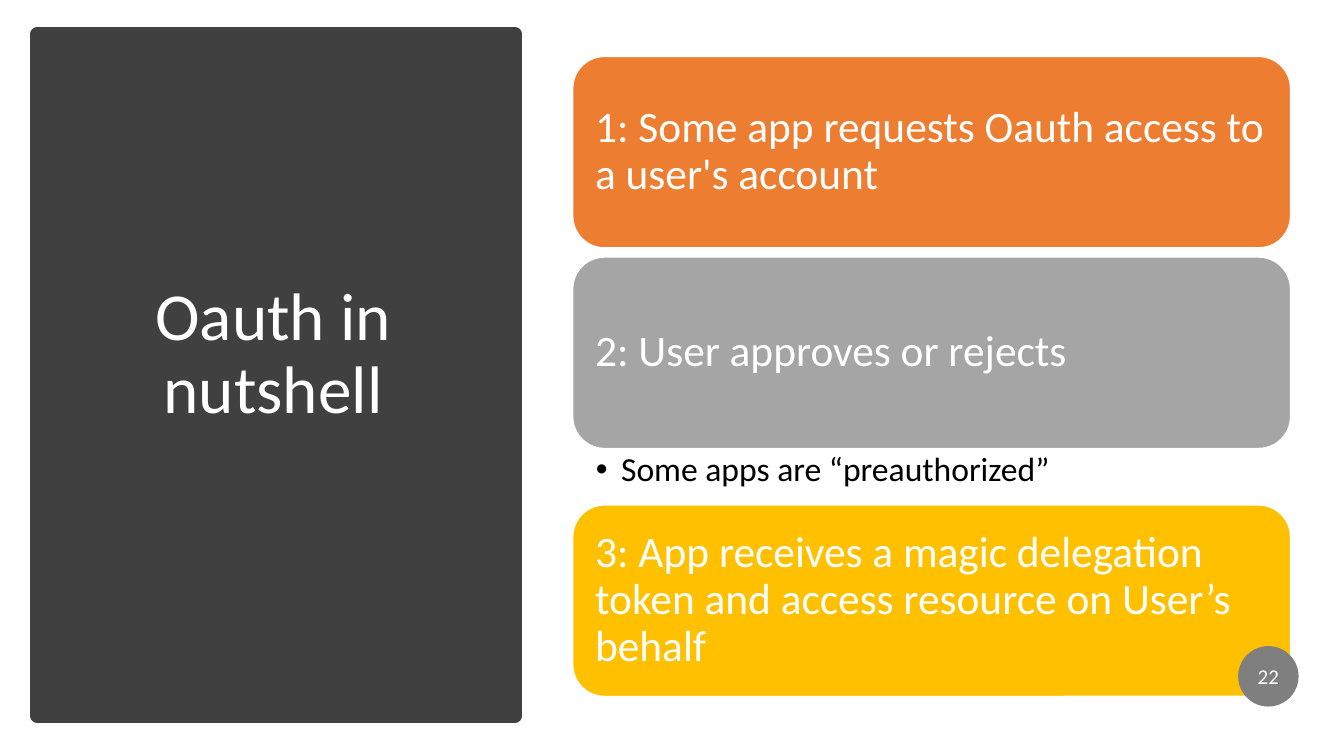
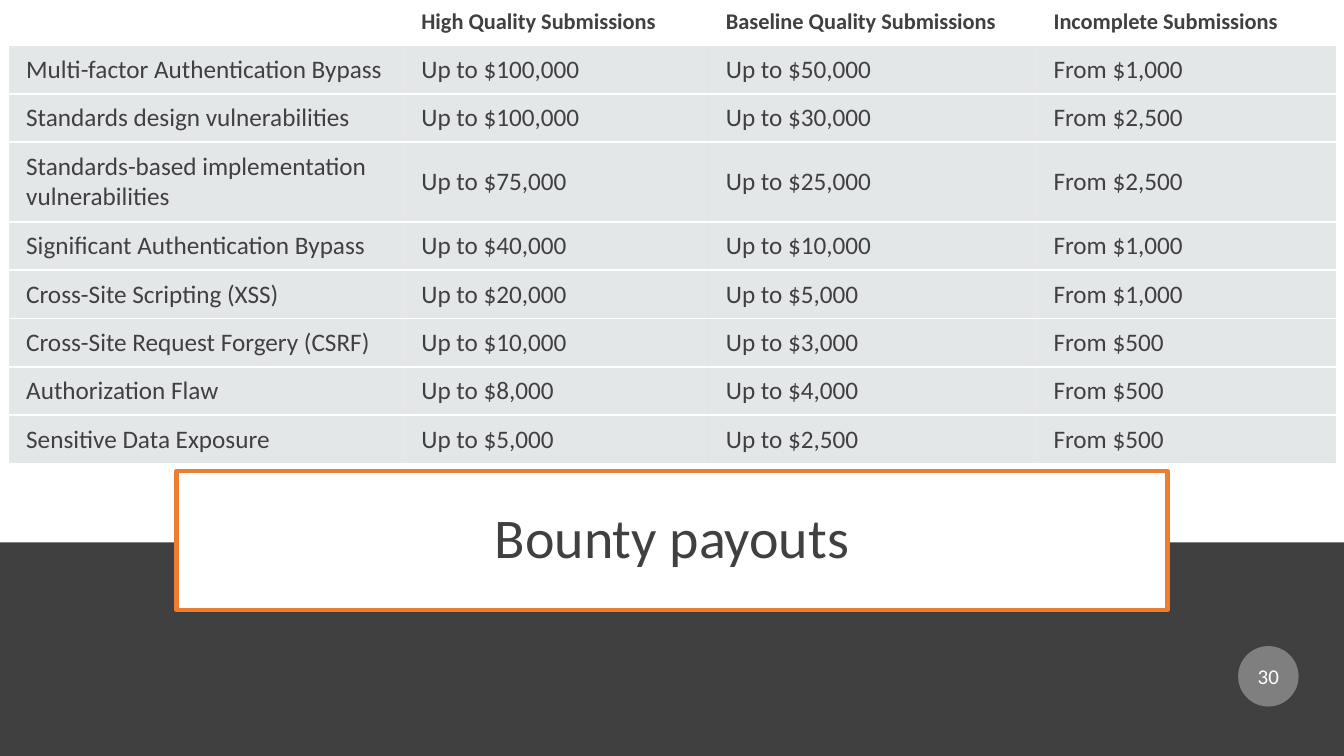
from pptx import Presentation
from pptx.dml.color import RGBColor
from pptx.enum import shapes, text
from pptx.oxml import parse_xml
from pptx.oxml.ns import nsdecls
from pptx.util import Inches, Pt

FONT = "Calibri"
WHITE = RGBColor(0xFF, 0xFF, 0xFF)
BLACK = RGBColor(0x00, 0x00, 0x00)
DARK = RGBColor(0x40, 0x40, 0x40)
BADGE = RGBColor(0x7F, 0x7F, 0x7F)
ORANGE = RGBColor(0xED, 0x7D, 0x31)
GRAY = RGBColor(0xA5, 0xA5, 0xA5)
GOLD = RGBColor(0xFF, 0xC0, 0x00)
CELL = RGBColor(0xB4, 0xBC, 0xBE)

RECT = shapes.MSO_SHAPE.RECTANGLE
ROUNDED = shapes.MSO_SHAPE.ROUNDED_RECTANGLE
OVAL = shapes.MSO_SHAPE.OVAL
LEFT, CENTER = text.PP_ALIGN.LEFT, text.PP_ALIGN.CENTER
TOP, MIDDLE, BOTTOM = (text.MSO_ANCHOR.TOP, text.MSO_ANCHOR.MIDDLE,
                       text.MSO_ANCHOR.BOTTOM)

STEPS = [
    ("1: Some app requests Oauth access to a user's account", ORANGE, None),
    ("2: User approves or rejects", GRAY, "Some apps are “preauthorized”"),
    ("3: App receives a magic delegation token and access resource on "
     "User’s behalf", GOLD, None),
]

HEADER = ["", "High Quality Submissions", "Baseline Quality Submissions",
          "Incomplete Submissions"]
PAYOUTS = [
    ("Multi-factor Authentication Bypass", "100,000", "50,000", "1,000"),
    ("Standards design vulnerabilities", "100,000", "30,000", "2,500"),
    ("Standards-based implementation vulnerabilities",
     "75,000", "25,000", "2,500"),
    ("Significant Authentication Bypass", "40,000", "10,000", "1,000"),
    ("Cross-Site Scripting (XSS)", "20,000", "5,000", "1,000"),
    ("Cross-Site Request Forgery (CSRF)", "10,000", "3,000", "500"),
    ("Authorization Flaw", "8,000", "4,000", "500"),
    ("Sensitive Data Exposure", "5,000", "2,500", "500"),
]
COLUMN_WIDTHS = [3.92, 3.02, 3.25, 2.97]
HEADER_HEIGHT, ROW_HEIGHT = 0.61, 0.48
NO_STYLE = "{2D5ABB26-0587-4C30-8999-92F81FD0307C}"


def add_box(page, kind, at, fill, line=None, line_width=1):
    box = page.shapes.add_shape(kind, *map(Inches, at))
    box.shadow.inherit = False
    box.fill.solid()
    box.fill.fore_color.rgb = fill
    if line is None:
        box.line.fill.background()
    else:
        box.line.color.rgb = line
        box.line.width = Pt(line_width)
    return box


def set_margins(holder, left, top, right, bottom):
    """Set the inner margins of a text frame or a table cell."""
    holder.margin_left, holder.margin_right = Inches(left), Inches(right)
    holder.margin_top, holder.margin_bottom = Inches(top), Inches(bottom)


def write(frame, words, size, color, align=LEFT, anchor=MIDDLE, spacing=0.9,
          bold=False):
    """Fill a text frame with one paragraph and return the paragraph."""
    frame.word_wrap = True
    frame.vertical_anchor = anchor
    para = frame.paragraphs[0]
    para.alignment = align
    para.line_spacing = spacing
    span = para.add_run()
    span.text = words
    span.font.name = FONT
    span.font.size = Pt(size)
    span.font.bold = bold
    span.font.color.rgb = color
    return para


def add_page(deck):
    page = deck.slides.add_slide(deck.slide_layouts[6])
    page.background.fill.solid()
    page.background.fill.fore_color.rgb = WHITE
    return page


def add_page_number(page, number):
    badge = add_box(page, OVAL, (12.28, 6.41, 0.6, 0.6), BADGE)
    set_margins(badge.text_frame, 0, 0, 0, 0)
    write(badge.text_frame, str(number), 15, WHITE, CENTER, spacing=1.0)


def add_title_panel(page, at, title):
    left, top, width, height = at
    add_box(page, RECT, at, DARK, DARK, 10)
    box = page.shapes.add_textbox(Inches(left + 0.44), Inches(top + 0.47),
                                  Inches(width - 0.94), Inches(height - 1.33))
    write(box.text_frame, title, 48, WHITE, CENTER)


def add_bullet(page, at, words):
    box = page.shapes.add_textbox(*map(Inches, at))
    set_margins(box.text_frame, 0.23, 0.04, 0.24, 0.04)
    para = write(box.text_frame, words, 24, BLACK, anchor=TOP)
    props = para._p.get_or_add_pPr()
    props.set("marL", str(Inches(0.25)))
    props.set("indent", str(-Inches(0.25)))
    props.append(parse_xml(f'<a:buFont {nsdecls("a")} typeface="Arial"/>'))
    props.append(parse_xml(f'<a:buChar {nsdecls("a")} char="•"/>'))


def add_steps(page, at, steps, gap=0.09, note_height=0.56):
    """Stack equal cards in the box; a note takes the place of a gap."""
    left, top, width, height = at
    between = [note_height if note else gap for _, _, note in steps[:-1]]
    card_height = (height - sum(between)) / len(steps)
    for words, color, note in steps:
        card = add_box(page, ROUNDED, (left, top, width, card_height),
                       color, WHITE)
        set_margins(card.text_frame, *[0.13] * 4)
        write(card.text_frame, words, 31, WHITE)
        top += card_height
        if note:
            add_bullet(page, (left, top, width, note_height), note)
        top += note_height if note else gap


def style_body_cell(cell):
    """Give a cell a translucent fill between white rules."""
    cell.fill.solid()
    cell.fill.fore_color.rgb = CELL
    props = cell._tc.get_or_add_tcPr()
    color = props.find(".//{*}srgbClr")
    color.append(parse_xml(f'<a:alpha {nsdecls("a")} val="35000"/>'))
    for place, side in enumerate(("lnT", "lnB")):
        props.insert(place, parse_xml(
            f'<a:{side} {nsdecls("a")} w="{Pt(1.5)}"><a:solidFill>'
            f'<a:srgbClr val="{WHITE}"/></a:solidFill></a:{side}>'))


def add_payout_table(page, left, top):
    rows = [HEADER] + [(name, f"Up to ${high}", f"Up to ${base}", f"From ${low}")
                       for name, high, base, low in PAYOUTS]
    heights = [HEADER_HEIGHT] + [ROW_HEIGHT] * len(PAYOUTS)
    heights[3] = 0.79
    frame = page.shapes.add_table(
        len(rows), len(HEADER), Inches(left), Inches(top),
        Inches(sum(COLUMN_WIDTHS)), Inches(sum(heights)))
    table = frame.table
    table.first_row = table.horz_banding = False
    table._tbl.tblPr.find("{*}tableStyleId").text = NO_STYLE
    for column, width in zip(table.columns, COLUMN_WIDTHS):
        column.width = Inches(width)
    for r, (values, height) in enumerate(zip(rows, heights)):
        table.rows[r].height = Inches(height)
        is_header = r == 0
        pad = 0.1 if is_header else 0.09
        for c, value in enumerate(values):
            cell = table.cell(r, c)
            set_margins(cell, 0.17, pad, pad, pad)
            if value:
                write(cell.text_frame, value, 16 if is_header else 18, DARK,
                      spacing=1.0, bold=is_header)
            cell.vertical_anchor = BOTTOM if is_header else MIDDLE
            if is_header:
                cell.fill.background()
            else:
                style_body_cell(cell)


def add_title_band(page, at, title):
    """Draw a dark band with a framed title straddling its upper edge."""
    left, top, width, height = at
    add_box(page, RECT, at, DARK)
    plate = add_box(page, RECT, (left + 1.75, top - 0.71, width - 3.5, 1.38),
                    WHITE, ORANGE, 3)
    write(plate.text_frame, title, 40, DARK, CENTER)


def build_oauth_page(deck):
    page = add_page(deck)
    add_title_panel(page, (0.37, 0.34, 4.74, 6.76), "Oauth in nutshell")
    add_steps(page, (5.68, 0.56, 7.12, 6.35), STEPS)
    add_page_number(page, 22)


def build_bounty_page(deck):
    page = add_page(deck)
    add_title_band(page, (0, 5.38, 13.33, 2.12), "Bounty payouts")
    add_payout_table(page, 0.09, -0.16)
    add_page_number(page, 30)


def main():
    deck = Presentation()
    deck.slide_width, deck.slide_height = Inches(13.33), Inches(7.5)
    build_oauth_page(deck)
    build_bounty_page(deck)
    deck.save("out.pptx")


if __name__ == "__main__":
    main()
